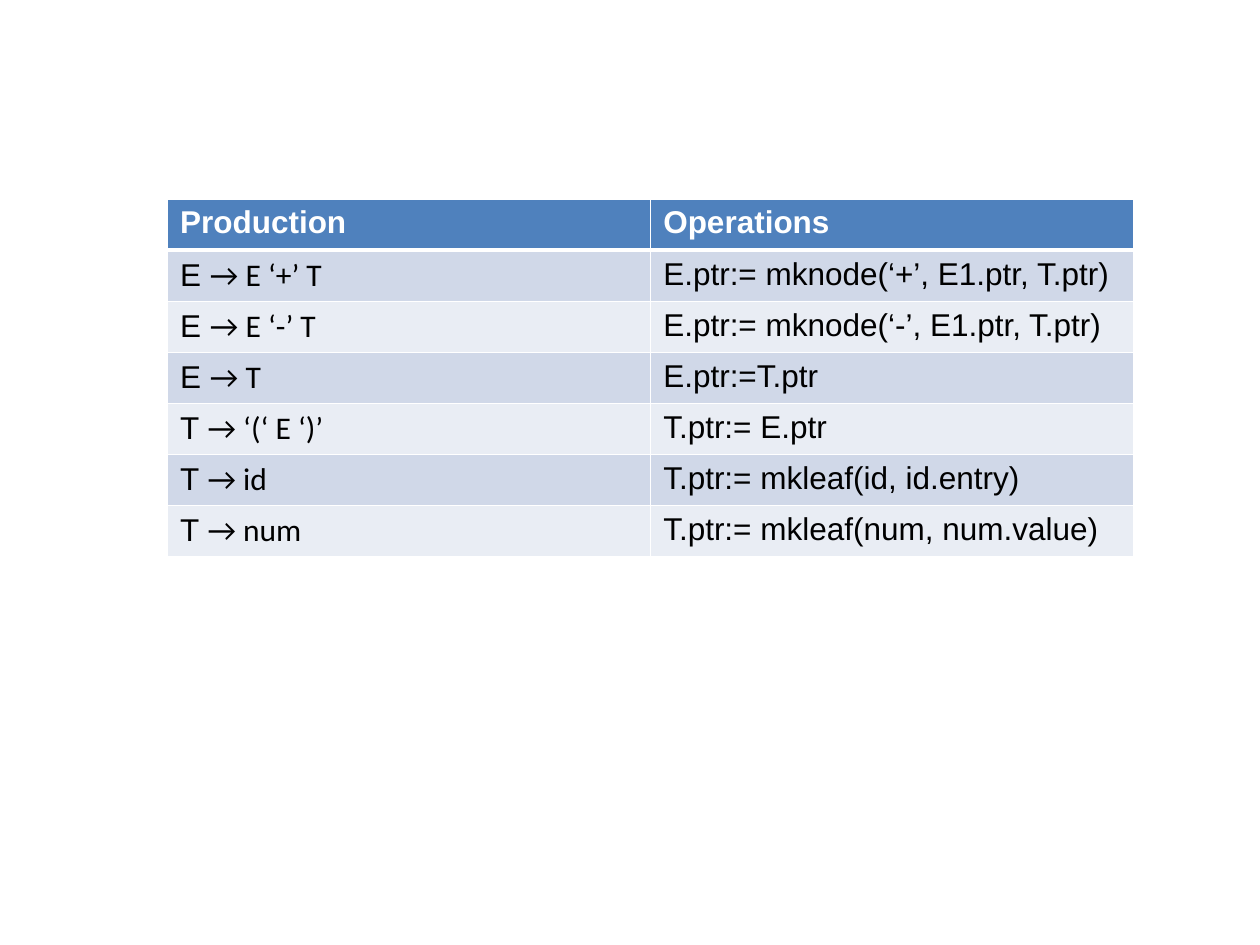
from lxml.etree import SubElement
from pptx import Presentation
from pptx.dml.color import RGBColor
from pptx.oxml.ns import qn
from pptx.util import Inches, Pt

HEADERS = ("Production", "Operations")
RULES = (
    ("E ", "→ E ‘+’ T", "E.ptr:= mknode(‘+’, E1.ptr, T.ptr)"),
    ("E ", "→ E ‘-’ T", "E.ptr:= mknode(‘-’, E1.ptr, T.ptr)"),
    ("E ", "→ T", "E.ptr:=T.ptr"),
    ("T ", "→ ‘(‘ E ‘)’", "T.ptr:= E.ptr"),
    ("T ", "→ id", "T.ptr:= mkleaf(id, id.entry)"),
    ("T ", "→ num", "T.ptr:= mkleaf(num, num.value)"),
)
HEADER_FILL, BANDS = "4F81BD", ("D0D8E8", "E9EDF4")
WHITE, BLACK = "FFFFFF", "000000"


def rgb(value):
    """Return the colour for a hex string."""
    return RGBColor.from_string(value)


def add_run(p, text, font="Arial", color=BLACK, bold=False):
    """Append a formatted run to a paragraph."""
    r = p.add_run()
    r.text = text
    r.font.name, r.font.size, r.font.bold = font, Pt(18), bold
    r.font.color.rgb = rgb(color)


def style_cell(cell, fill, top=1, bottom=1):
    """Give a cell white borders of the given widths and a solid fill."""
    tc_pr = cell._tc.get_or_add_tcPr()
    for side, width in (("L", 1), ("R", 1), ("T", top), ("B", bottom)):
        ln = SubElement(tc_pr, qn(f"a:ln{side}"), w=str(Pt(width)))
        solid = SubElement(ln, qn("a:solidFill"))
        SubElement(solid, qn("a:srgbClr"), val=WHITE)
    cell.fill.solid()
    cell.fill.fore_color.rgb = rgb(fill)


def add_rules_table(slide, left, top, width, height):
    """Place the table of productions and their operations in the box."""
    rows = len(RULES) + 1
    table = slide.shapes.add_table(rows, len(HEADERS), left, top, width, height).table
    for row in table.rows:
        row.height = height // rows
    for cell, text in zip(table.rows[0].cells, HEADERS):
        style_cell(cell, HEADER_FILL, bottom=3)
        add_run(cell.text_frame.paragraphs[0], text, color=WHITE, bold=True)
    for i, (symbol, body, operation) in enumerate(RULES):
        cells = [table.cell(i + 1, col) for col in range(len(HEADERS))]
        for cell in cells:
            style_cell(cell, BANDS[i % 2], top=1 if i else 3)
        production, action = (cell.text_frame.paragraphs[0] for cell in cells)
        add_run(production, symbol)
        add_run(production, body, font="Calibri")
        add_run(action, operation)


def main():
    """Build and save the slide."""
    prs = Presentation()
    prs.slide_width, prs.slide_height = Inches(10), Inches(7.5)
    slide = prs.slides.add_slide(prs.slide_layouts[6])
    add_rules_table(slide, Inches(1.33), Inches(1.58), Inches(7.67), Inches(2.84))
    prs.save("out.pptx")


if __name__ == "__main__":
    main()
